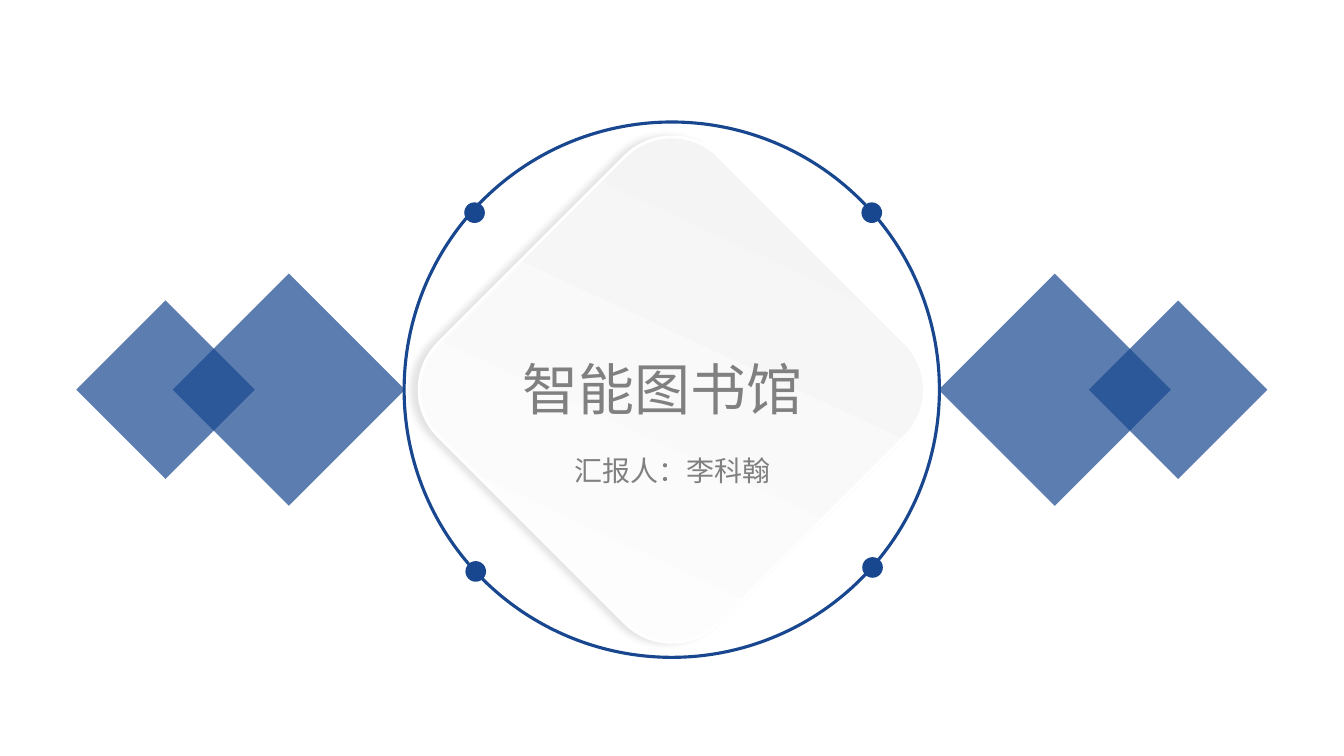
"""Build the cover slide of the smart library report."""
from lxml import etree
from pptx import Presentation
from pptx import util as u
from pptx.dml.color import RGBColor
from pptx.enum import shapes, text
from pptx.oxml import ns

COLORS = {"blue": "18478F", "grey": "808080", "white": "FFFFFF", "pale": "F2F2F2", "black": "000000"}
FONT = "Open Sans"
CENTER = (16.93, 9.82)
TITLE = {"words": "智能图书馆", "offset": (-0.24, -0.05), "size": (9.4, 1.96), "points": 40}
PRESENTER = {"words": "汇报人：李科翰", "offset": (0.02, 2.02), "size": (7.54, 1.12), "points": 20}
DIAMONDS = [(9.65, 4.14), (12.76, 3.18)]
CARD_SIDE = 9.98
RING_SIDE = 13.49
DOT_SIDE = 0.52
DOTS = [(-4.97, -4.46), (5.06, 4.48), (-4.94, 4.58), (5.04, -4.46)]


def color(name):
    return RGBColor.from_string(COLORS[name])


def frame(offset, size):
    """Return left, top, width and height around the slide's focal point."""
    corner = [c + o - s / 2 for c, o, s in zip(CENTER, offset, size)]
    return [u.Cm(length) for length in (*corner, *size)]


def add_figure(page, kind, offset, side, rotation=0):
    figure = page.shapes.add_shape(kind, *frame(offset, (side, side)))
    figure.rotation = rotation
    figure.shadow.inherit = False
    figure.line.fill.background()
    return figure


def fill_blue(figure, opacity=100):
    figure.fill.solid()
    figure.fill.fore_color.rgb = color("blue")
    if opacity < 100:
        hue = figure._element.spPr.find(".//" + ns.qn("a:srgbClr"))
        etree.SubElement(hue, ns.qn("a:alpha"), val=str(opacity * 1000))


def add_card(page):
    card = add_figure(page, shapes.MSO_SHAPE.ROUNDED_RECTANGLE, (0, 0), CARD_SIDE, 45)
    card.fill.gradient()
    card.fill.gradient_angle = 110
    for stop, name in zip(card.fill.gradient_stops, ("white", "pale")):
        stop.color.rgb = color(name)
    card.line.color.rgb = color("white")
    card.line.width = u.Pt(2)
    effects = card._element.spPr.find(ns.qn("a:effectLst"))
    shadow = etree.SubElement(effects, ns.qn("a:outerShdw"), blurRad=str(u.Pt(5)),
                              dist=str(u.Pt(5)), dir="10800000", rotWithShape="0")
    hue = etree.SubElement(shadow, ns.qn("a:srgbClr"), val=COLORS["black"])
    etree.SubElement(hue, ns.qn("a:alpha"), val="11000")


def write(box, label):
    box.left, box.top, box.width, box.height = frame(label["offset"], label["size"])
    box.text_frame.word_wrap = True
    box.text_frame.vertical_anchor = text.MSO_ANCHOR.MIDDLE
    para = box.text_frame.paragraphs[0]
    para.alignment = text.PP_ALIGN.CENTER
    span = para.add_run()
    span.text = label["words"]
    for key, value in {"name": FONT, "size": u.Pt(label["points"]), "bold": False}.items():
        setattr(span.font, key, value)
    span.font.color.rgb = color("grey")


def main():
    deck = Presentation()
    deck.slide_width, deck.slide_height = u.Cm(33.87), u.Cm(19.05)
    page = deck.slides.add_slide(deck.slide_layouts[5])

    for direction, rotation in ((-1, 45), (1, 225)):
        for distance, side in DIAMONDS:
            diamond = add_figure(page, shapes.MSO_SHAPE.RECTANGLE, (direction * distance, 0), side, rotation)
            fill_blue(diamond, 70)

    add_card(page)

    ring = add_figure(page, shapes.MSO_SHAPE.OVAL, (0, 0), RING_SIDE)
    ring.fill.background()
    ring.line.color.rgb = color("blue")
    ring.line.width = u.Pt(2.25)

    write(page.shapes.add_textbox(0, 0, 0, 0), PRESENTER)
    title = page.shapes.title
    write(title, TITLE)
    page.shapes._spTree.append(title._element)

    for offset in DOTS:
        fill_blue(add_figure(page, shapes.MSO_SHAPE.OVAL, offset, DOT_SIDE))

    deck.save("out.pptx")


if __name__ == "__main__":
    main()
